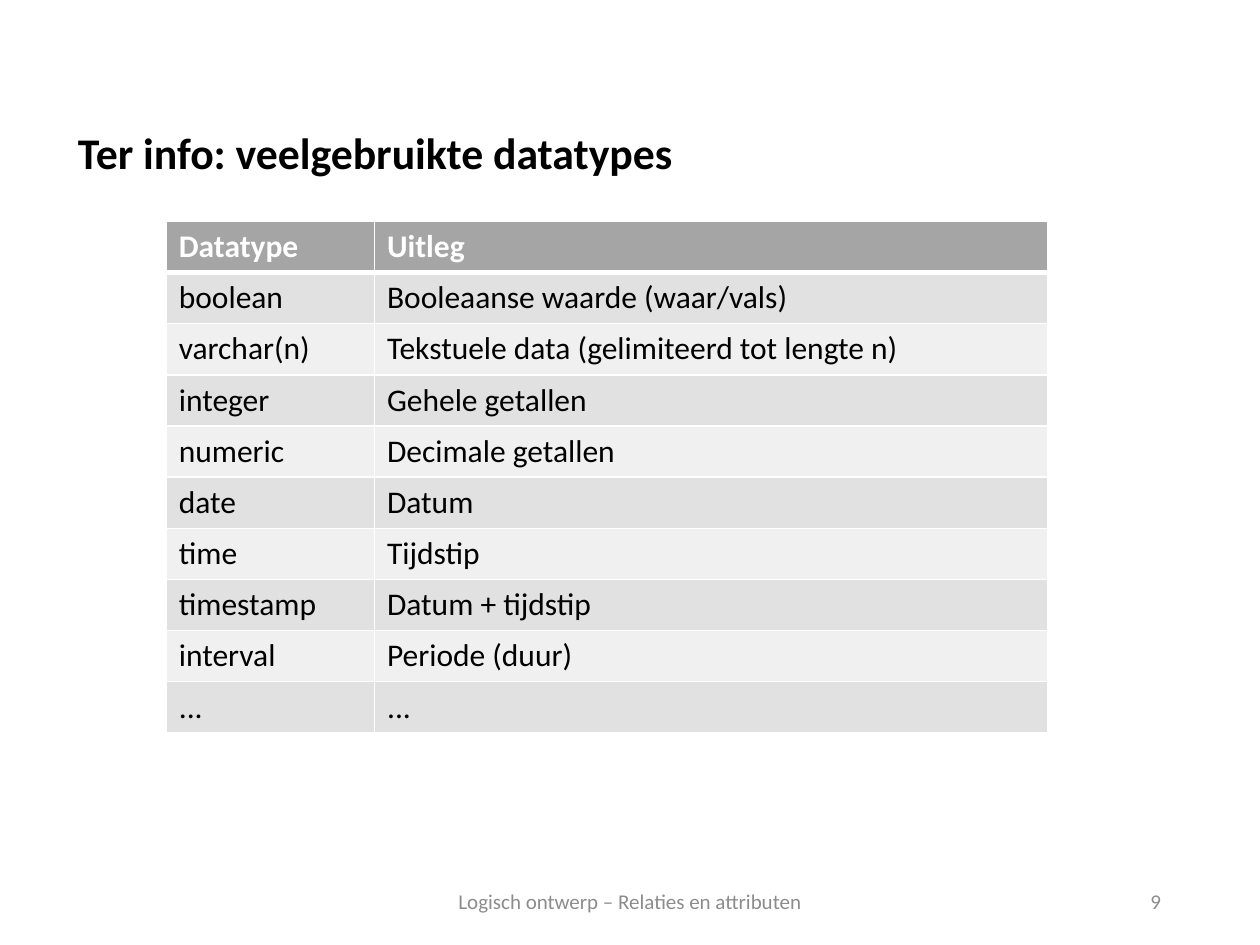
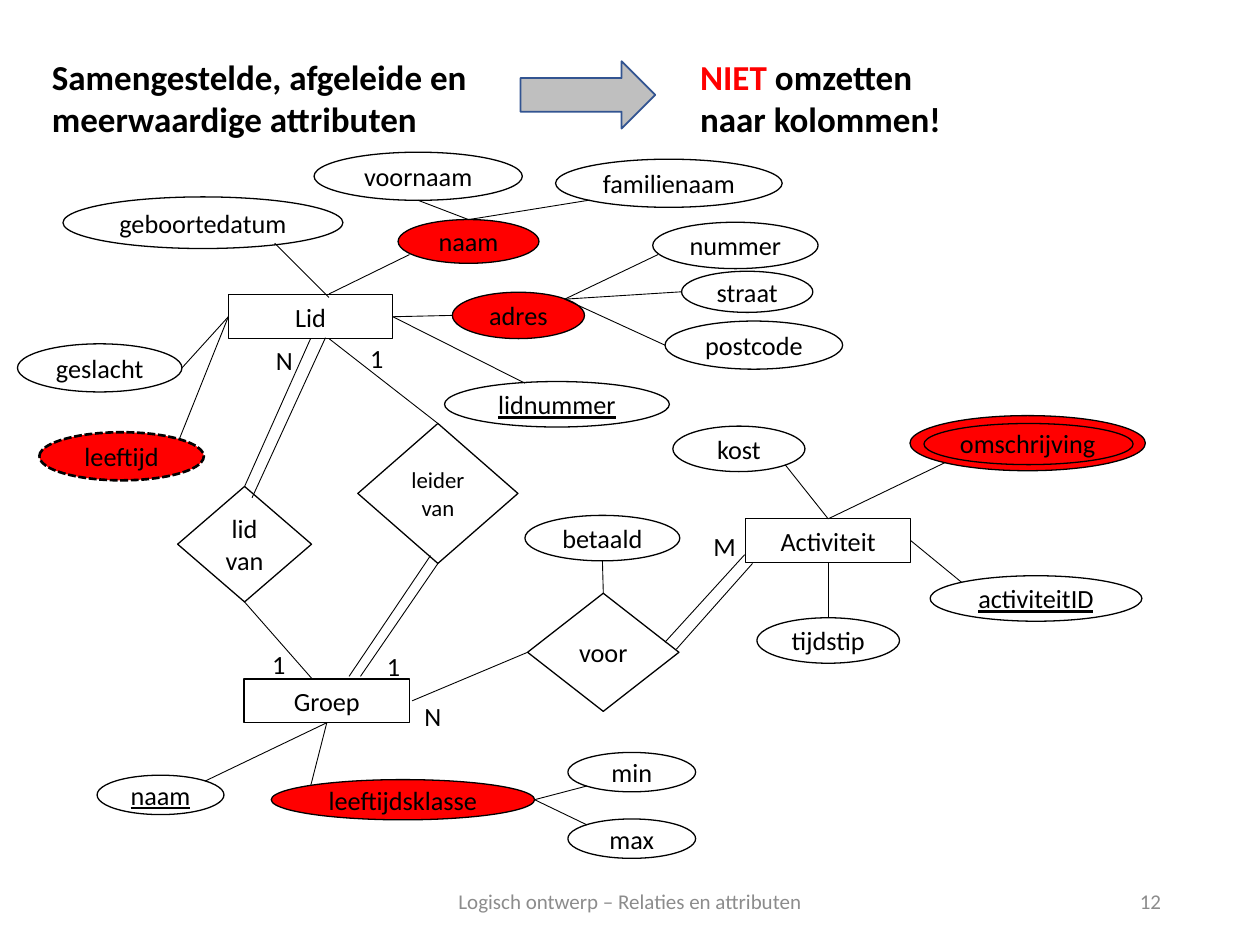
from dataclasses import dataclass
from enum import Enum
from typing import NamedTuple, Optional, Union

from lxml.etree import SubElement
from pptx import Presentation
from pptx.dml.color import RGBColor
from pptx.enum.dml import MSO_LINE
from pptx.enum.shapes import MSO_CONNECTOR, MSO_SHAPE as Preset
from pptx.enum.text import MSO_ANCHOR as Anchor, PP_ALIGN as Align
from pptx.oxml.ns import qn
from pptx.util import Pt

FONT = "Calibri"
BLACK, WHITE, RED, GREY = "000000", "FFFFFF", "FF0000", "8C8C8C"
HEADER_FILL, BAND_FILLS = "A5A5A5", ("E1E1E1", "F0F0F0")
ARROW_FILL, ARROW_LINE = "BFBFBF", "325491"
FOOTER = "Logisch ontwerp – Relaties en attributen"

RECTANGLE, ELLIPSE, DIAMOND = Preset.RECTANGLE, Preset.OVAL, Preset.DIAMOND


class Box(NamedTuple):
    left: float
    top: float
    width: float
    height: float

    def lengths(self) -> list:
        return [Pt(length) for length in self]


class Side(Enum):
    """Places on an outline; the first four are connection sites."""
    TOP = 0
    LEFT = 1
    BOTTOM = 2
    RIGHT = 3
    TOP_LEFT = 4
    TOP_RIGHT = 5
    BOTTOM_LEFT = 6
    BOTTOM_RIGHT = 7


FRACTIONS = {
    Side.TOP: (0.5, 0), Side.LEFT: (0, 0.5),
    Side.BOTTOM: (0.5, 1), Side.RIGHT: (1, 0.5),
    Side.TOP_LEFT: (0.15, 0.15), Side.TOP_RIGHT: (0.85, 0.15),
    Side.BOTTOM_LEFT: (0.15, 0.85), Side.BOTTOM_RIGHT: (0.85, 0.85),
}


class Point(NamedTuple):
    x: float
    y: float


class Site(NamedTuple):
    node: str
    side: Side


End = Union[Point, Site]


@dataclass
class Node:
    label: str
    box: Box
    preset: Preset = ELLIPSE
    fill: Optional[str] = WHITE
    size: float = 15
    underline: bool = False
    dashed: bool = False
    key: str = ""

    @property
    def name(self) -> str:
        return self.key or self.label


DATATYPES = [
    ("Datatype", "Uitleg"),
    ("boolean", "Booleaanse waarde (waar/vals)"),
    ("varchar(n)", "Tekstuele data (gelimiteerd tot lengte n)"),
    ("integer", "Gehele getallen"),
    ("numeric", "Decimale getallen"),
    ("date", "Datum"),
    ("time", "Tijdstip"),
    ("timestamp", "Datum + tijdstip"),
    ("interval", "Periode (duur)"),
    ("...", "..."),
]

NODES = [
    Node("Lid", Box(130.5, 168.5, 94, 25), RECTANGLE),
    Node("Groep", Box(139.5, 388, 94.5, 25), RECTANGLE),
    Node("Activiteit", Box(426, 296.5, 94.5, 25), RECTANGLE),
    Node("lid van", Box(101.5, 278, 76.5, 66), DIAMOND),
    Node("leider van", Box(204.5, 242, 91.5, 80), DIAMOND, size=13),
    Node("voor", Box(301.5, 339, 86.5, 67.5), DIAMOND),
    Node("straat", Box(389.5, 155, 75, 23.5), fill=None),
    Node("nummer", Box(373, 127, 94.5, 26.5), fill=None),
    Node("postcode", Box(380, 183.5, 101.5, 27.5), fill=None),
    Node("adres", Box(258.5, 167, 75.5, 26.5), fill=RED),
    Node("geslacht", Box(10, 196.5, 94, 27.5)),
    Node("leeftijd", Box(22.5, 247, 94, 27.5), fill=RED, dashed=True),
    Node("naam", Box(55.5, 443, 72.5, 22.5), underline=True, key="groepsnaam"),
    Node("leeftijdsklasse", Box(155, 445.5, 150.5, 23), fill=RED),
    Node("min", Box(324.5, 430, 73, 22.5), fill=None),
    Node("max", Box(324.5, 468, 73, 22.5), fill=None),
    Node("betaald", Box(300, 294.5, 88.5, 26)),
    Node("kost", Box(384.5, 243.5, 75.5, 26)),
    Node("tijdstip", Box(432.5, 353, 81.5, 26)),
    Node("activiteitID", Box(531.5, 329, 121, 26), underline=True),
    Node("lidnummer", Box(254, 218, 128.5, 26), underline=True),
    Node("omschrijving", Box(520, 237.5, 134.5, 31.5), fill=RED),
    Node("", Box(528, 242, 119.5, 23.5), fill=None, key="binnenrand"),
    Node("naam", Box(227.5, 125.5, 80.5, 25), fill=RED),
    Node("geboortedatum", Box(36, 112.5, 160, 29.5), fill=None),
    Node("voornaam", Box(179.5, 87, 119, 27.5)),
    Node("familienaam", Box(317.5, 91, 129.5, 27.5)),
]

LINES: list[tuple[End, End]] = [
    (Site("straat", Side.LEFT), Site("adres", Side.TOP_RIGHT)),
    (Site("postcode", Side.LEFT), Site("adres", Side.TOP_RIGHT)),
    (Site("adres", Side.TOP_RIGHT), Point(376, 145.5)),
    (Site("Lid", Side.RIGHT), Site("adres", Side.LEFT)),
    (Site("geslacht", Side.RIGHT), Site("Lid", Side.LEFT)),
    (Site("leeftijd", Side.TOP_RIGHT), Site("Lid", Side.LEFT)),
    (Point(300, 219), Site("Lid", Side.RIGHT)),
    (Point(234, 145.5), Point(188, 168)),
    (Point(157, 139), Point(188, 170)),
    (Site("voornaam", Side.BOTTOM), Site("naam", Side.TOP)),
    (Site("familienaam", Side.BOTTOM_LEFT), Site("naam", Side.TOP)),
    (Site("lid van", Side.TOP), Site("Lid", Side.BOTTOM)),
    (Point(144, 284.5), Point(186, 193)),
    (Point(178, 387.5), Site("lid van", Side.BOTTOM)),
    (Point(188, 193.5), Site("leider van", Side.TOP)),
    (Site("leider van", Side.BOTTOM), Point(206, 386.5)),
    (Point(246, 317.5), Point(199.5, 386.5)),
    (Site("Groep", Side.BOTTOM), Site("groepsnaam", Side.TOP_RIGHT)),
    (Site("leeftijdsklasse", Side.TOP_LEFT), Site("Groep", Side.BOTTOM)),
    (Site("min", Side.BOTTOM_LEFT), Site("leeftijdsklasse", Side.RIGHT)),
    (Site("max", Side.TOP_LEFT), Site("leeftijdsklasse", Side.RIGHT)),
    (Site("voor", Side.LEFT), Point(235.5, 400.5)),
    (Site("betaald", Side.BOTTOM), Site("voor", Side.TOP)),
    (Point(430, 322), Point(386.5, 371)),
    (Point(425.5, 317), Point(380, 367)),
    (Site("omschrijving", Side.BOTTOM_LEFT), Site("Activiteit", Side.TOP)),
    (Site("kost", Side.BOTTOM_RIGHT), Site("Activiteit", Side.TOP)),
    (Site("tijdstip", Side.TOP), Site("Activiteit", Side.BOTTOM)),
    (Site("activiteitID", Side.TOP_LEFT), Site("Activiteit", Side.RIGHT)),
]

CARDINALITIES = [
    ("N", Box(150.5, 193, 24, 25)), ("1", Box(204.5, 192, 22.5, 25)),
    ("1", Box(148.5, 367, 22.5, 25)), ("1", Box(214, 368, 22.5, 25)),
    ("N", Box(235.5, 396.5, 36, 25)), ("M", Box(400.5, 299.5, 35, 25)),
]


def color(value: str) -> RGBColor:
    return RGBColor.from_string(value)


def format_font(font, size: float, font_color: str, bold: bool = False) -> None:
    font.name, font.size, font.bold = FONT, Pt(size), bold
    font.color.rgb = color(font_color)


def add_text(slide, box: Box, runs: list[tuple[str, str]], size: float,
             bold: bool = False, align=Align.LEFT, anchor=Anchor.TOP) -> None:
    """Add a text box with one paragraph of (text, colour) runs."""
    text_frame = slide.shapes.add_textbox(*box.lengths()).text_frame
    text_frame.word_wrap = True
    text_frame.vertical_anchor = anchor
    paragraph = text_frame.paragraphs[0]
    paragraph.alignment = align
    for text, run_color in runs:
        run = paragraph.add_run()
        run.text = text
        format_font(run.font, size, run_color, bold)


def add_footer(slide, number: int) -> None:
    for text, left, width, align in ((FOOTER, 238.5, 243, Align.CENTER),
                                     (str(number), 508.5, 162, Align.RIGHT)):
        add_text(slide, Box(left, 500.5, width, 28.5), [(text, GREY)], 12,
                 align=align, anchor=Anchor.MIDDLE)


def add_outlined(slide, preset: Preset, box: Box, fill: Optional[str],
                 line_color: str, line_width: float):
    shape = slide.shapes.add_shape(preset, *box.lengths())
    shape.shadow.inherit = False
    if fill:
        shape.fill.solid()
        shape.fill.fore_color.rgb = color(fill)
    else:
        shape.fill.background()
    shape.line.color.rgb = color(line_color)
    shape.line.width = Pt(line_width)
    return shape


def add_node(slide, node: Node):
    shape = add_outlined(slide, node.preset, node.box, node.fill, BLACK,
                         1.5 if node.dashed else 0.75)
    if node.dashed:
        shape.line.dash_style = MSO_LINE.SQUARE_DOT
    if node.label:
        text_frame = shape.text_frame
        text_frame.text = node.label
        text_frame.word_wrap = True
        text_frame.vertical_anchor = Anchor.MIDDLE
        text_frame.margin_left = text_frame.margin_right = 0
        paragraph = text_frame.paragraphs[0]
        paragraph.alignment = Align.CENTER
        font = paragraph.runs[0].font
        format_font(font, node.size, BLACK)
        font.underline = node.underline
    return shape


def position(end: End, shapes: dict) -> tuple[int, int]:
    if isinstance(end, Point):
        return Pt(end.x), Pt(end.y)
    shape = shapes[end.node]
    across, down = FRACTIONS[end.side]
    return (int(shape.left + across * shape.width),
            int(shape.top + down * shape.height))


def add_line(slide, start: End, finish: End, shapes: dict) -> None:
    line = slide.shapes.add_connector(
        MSO_CONNECTOR.STRAIGHT, *position(start, shapes), *position(finish, shapes))
    line.line.color.rgb = color(BLACK)
    line.line.width = Pt(0.5)
    SubElement(line._element.spPr, qn("a:effectLst"))
    for end, join in ((start, line.begin_connect), (finish, line.end_connect)):
        if isinstance(end, Site):
            shape = shapes[end.node]
            if shape.auto_shape_type != ELLIPSE:
                join(shape, end.side.value)


def add_borders(cell, row: int) -> None:
    """White rules, with a thick one below the header row."""
    properties = cell._tc.get_or_add_tcPr()
    widths = {"lnL": 1, "lnR": 1, "lnT": 3 if row == 1 else 1,
              "lnB": 3 if row == 0 else 1}
    for tag, width in widths.items():
        border = SubElement(properties, qn(f"a:{tag}"), w=str(Pt(width)))
        fill = SubElement(border, qn("a:solidFill"))
        SubElement(fill, qn("a:srgbClr"), val=WHITE)


def add_datatype_table(slide) -> None:
    box = Box(95, 126.5, 503.5, 292.5)
    table = slide.shapes.add_table(len(DATATYPES), 2, *box.lengths()).table
    for column, width in zip(table.columns, (119, 384.5)):
        column.width = Pt(width)
    for row, texts in enumerate(DATATYPES):
        table.rows[row].height = Pt(box.height / len(DATATYPES))
        header = row == 0
        for column, text in enumerate(texts):
            cell = table.cell(row, column)
            add_borders(cell, row)
            cell.fill.solid()
            cell.fill.fore_color.rgb = color(
                HEADER_FILL if header else BAND_FILLS[(row - 1) % 2])
            cell.text_frame.text = text
            format_font(cell.text_frame.paragraphs[0].runs[0].font, 18,
                        WHITE if header else BLACK, header)


def build_datatypes(slide) -> None:
    add_text(slide, Box(37.5, 68.5, 424, 37.5),
             [("Ter info: veelgebruikte datatypes", BLACK)], 25, bold=True)
    add_datatype_table(slide)
    add_footer(slide, 9)


def build_diagram(slide) -> None:
    add_text(slide, Box(22.5, 28, 334, 55.5),
             [("Samengestelde, afgeleide en meerwaardige attributen", BLACK)],
             20, bold=True)
    add_outlined(slide, Preset.RIGHT_ARROW, Box(297.5, 35, 77, 38.5),
                 ARROW_FILL, ARROW_LINE, 1)
    add_text(slide, Box(393, 28, 177, 55.5),
             [("NIET ", RED), ("omzetten naar kolommen!", BLACK)], 20, bold=True)
    shapes = {node.name: add_node(slide, node) for node in NODES}
    for start, finish in LINES:
        add_line(slide, start, finish, shapes)
    for text, box in CARDINALITIES:
        add_text(slide, box, [(text, BLACK)], 15)
    add_footer(slide, 12)


def main() -> None:
    presentation = Presentation()
    presentation.slide_width, presentation.slide_height = Pt(720), Pt(540)
    for build in (build_datatypes, build_diagram):
        build(presentation.slides.add_slide(presentation.slide_layouts[6]))
    presentation.save("out.pptx")


if __name__ == "__main__":
    main()
